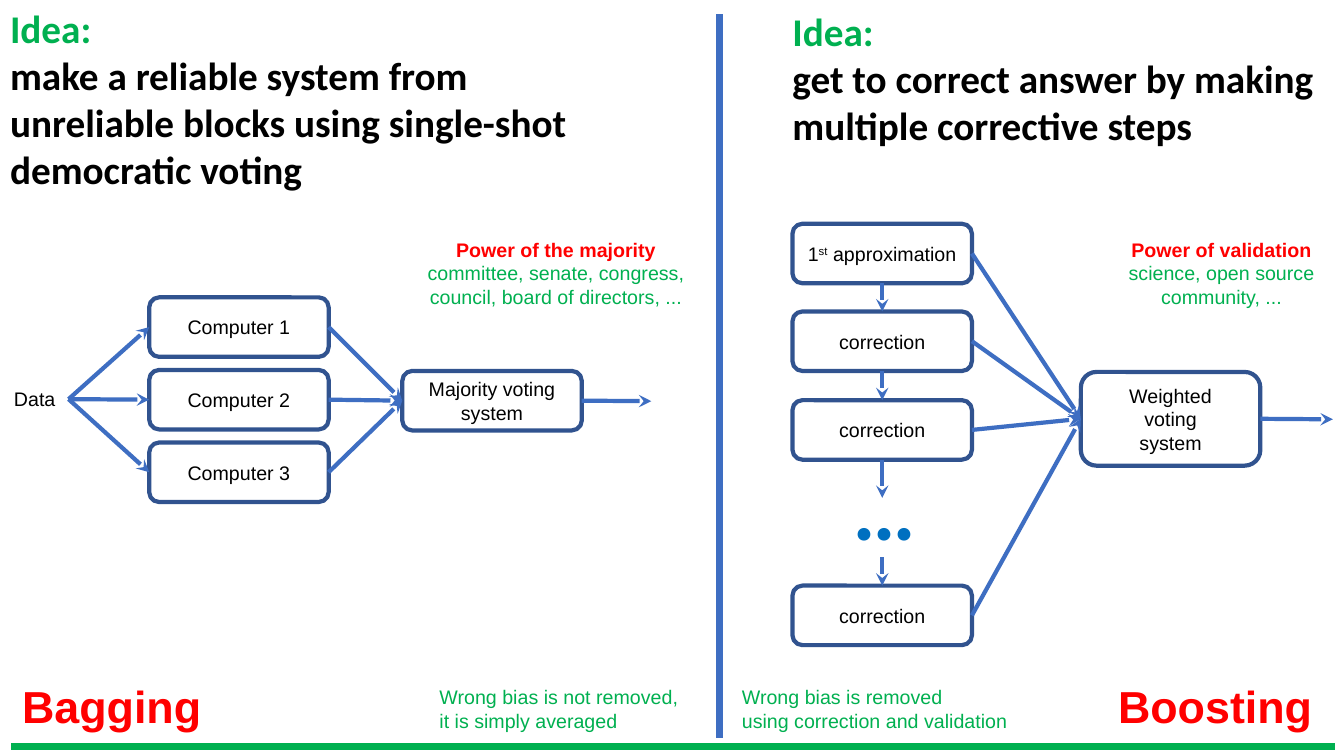
from lxml import etree
from pptx import Presentation
from pptx.dml.color import RGBColor
from pptx.enum.shapes import MSO_CONNECTOR, MSO_SHAPE
from pptx.enum.text import MSO_ANCHOR, MSO_AUTO_SIZE, PP_ALIGN
from pptx.oxml.ns import qn
from pptx.util import Inches, Pt

STRAIGHT = MSO_CONNECTOR.STRAIGHT
ROUNDED = MSO_SHAPE.ROUNDED_RECTANGLE
LEFT, CENTER = PP_ALIGN.LEFT, PP_ALIGN.CENTER
TOP, MIDDLE = MSO_ANCHOR.TOP, MSO_ANCHOR.MIDDLE
NO_AUTOFIT = MSO_AUTO_SIZE.NONE
TOP_SITE, LEFT_SITE, BOTTOM_SITE, RIGHT_SITE = range(4)
COLORS = {
    "black": "000000",
    "green": "00B050",
    "red": "FF0000",
    "dots": "0070C0",
    "outline": "31538F",
    "arrow": "3E6EC2",
}
BOX_WIDTH, BOX_HEIGHT = 1.78, 0.59


def write(shape, lines, size=14, font="Arial", color="black", bold=False, align=LEFT, anchor=TOP):
    frame = shape.text_frame
    frame.word_wrap = True
    frame.auto_size = NO_AUTOFIT
    frame.vertical_anchor = anchor
    for index, line in enumerate(lines):
        paragraph = frame.add_paragraph() if index else frame.paragraphs[0]
        paragraph.alignment = align
        paragraph.space_before = Pt(0)
        for text, changes in [(line, {})] if isinstance(line, str) else line:
            run = paragraph.add_run()
            run.text = text
            run.font.name = font
            run.font.size = Pt(size)
            run.font.bold = changes.get("bold", bold)
            run.font.color.rgb = RGBColor.from_string(COLORS[changes.get("color", color)])
            if "baseline" in changes:
                run._r.get_or_add_rPr().set("baseline", changes["baseline"])


def connect(start, end, color="arrow", width=3, arrow=True):
    points = []
    for first, second in (start, end):
        points += [Inches(first), Inches(second)] if isinstance(first, (int, float)) else [0, 0]
    line = slide.shapes.add_connector(STRAIGHT, *points)
    if not isinstance(start[0], (int, float)):
        line.begin_connect(*start)
    if not isinstance(end[0], (int, float)):
        line.end_connect(*end)
    line.line.color.rgb = RGBColor.from_string(COLORS[color])
    line.line.width = Pt(width)
    if arrow:
        etree.SubElement(line.line._get_or_add_ln(), qn("a:tailEnd"), type="stealth")
    etree.SubElement(line._element.spPr, qn("a:effectLst"))


presentation = Presentation()
presentation.slide_width = Inches(13.33)
presentation.slide_height = Inches(7.5)
slide = presentation.slides.add_slide(presentation.slide_layouts[1])

bagging_idea, boosting_idea = slide.placeholders
ideas = [
    (bagging_idea, (0, -0.01, 5.94, 1.94),
     "make a reliable system from unreliable blocks using single-shot democratic voting"),
    (boosting_idea, (7.76, 0.02, 5.57, 1.58),
     "get to correct answer by making multiple corrective steps"),
]
for placeholder, place, idea in ideas:
    placeholder.left, placeholder.top, placeholder.width, placeholder.height = map(Inches, place)
    write(placeholder, [[("Idea:", {"color": "green"})], idea], size=28, font="Calibri", bold=True)
for paragraph in boosting_idea.text_frame.paragraphs:
    properties = paragraph._p.get_or_add_pPr()
    properties.set("marL", "0")
    properties.set("indent", "0")
    etree.SubElement(properties, qn("a:buNone"))

first_step = [("1", {}), ("st", {"baseline": "30000"}), (" approximation", {})]
box_specs = [(1.48, 2.95 + 0.72 * i, BOX_HEIGHT, [f"Computer {i + 1}"]) for i in range(3)]
box_specs += [
    (3.99, 3.68, BOX_HEIGHT, ["Majority voting", "system"]),
    (7.86, 2.22, BOX_HEIGHT, [first_step]),
    (7.86, 3.09, BOX_HEIGHT, ["correction"]),
    (7.86, 3.97, BOX_HEIGHT, ["correction"]),
    (7.86, 5.81, BOX_HEIGHT, ["correction"]),
    (10.72, 3.69, 0.93, ["Weighted", "voting", "system"]),
]
boxes = []
for left, top, height, lines in box_specs:
    box = slide.shapes.add_shape(
        ROUNDED, Inches(left), Inches(top), Inches(BOX_WIDTH), Inches(height))
    box.shadow.inherit = False
    box.fill.background()
    box.line.color.rgb = RGBColor.from_string(COLORS["outline"])
    box.line.width = Pt(3)
    write(box, lines, align=CENTER, anchor=MIDDLE)
    boxes.append(box)
computers, majority, steps, weighted = boxes[:3], boxes[3], boxes[4:8], boxes[8]

majority_power = [[("Power of the majority", {"color": "red", "bold": True})],
                  "committee, senate, congress, council, board of directors, ..."]
validation_power = [[("Power of validation", {"color": "red", "bold": True})],
                    "science, open source community, ..."]
name_format = {"size": 32, "color": "red", "bold": True}
power_format = {"color": "green", "align": CENTER}
labels = [
    ((0.12, 6.68, 2.25, 0.64), ["Bagging"], name_format),
    ((10.99, 6.68, 2.25, 0.64), ["Boosting"], name_format),
    ((4.01, 2.31, 3.01, 0.81), majority_power, power_format),
    ((10.94, 2.31, 2.35, 0.81), validation_power, power_format),
    ((4.26, 6.75, 2.75, 0.57),
     ["Wrong bias is not removed,", "it is simply averaged"], {"color": "green"}),
    ((7.26, 6.75, 3.03, 0.57),
     ["Wrong bias is removed", "using correction and validation"], {"color": "green"}),
    ((8.3, 4.48, 0.95, 1.11), ["..."],
     {"size": 60, "font": "Lato", "color": "dots", "bold": True, "align": CENTER}),
    ((0.04, 3.79, 0.64, 0.34), ["Data"], {}),
]
for place, lines, text_format in labels:
    label = slide.shapes.add_textbox(*map(Inches, place))
    write(label, lines, **text_format)
data = label

for computer in computers:
    connect((data, RIGHT_SITE), (computer, LEFT_SITE))
    connect((computer, RIGHT_SITE), (majority, LEFT_SITE))
connect((majority, RIGHT_SITE), (6.46, 3.98))

for step in steps:
    connect((step, RIGHT_SITE), (weighted, LEFT_SITE))
for upper, lower in zip(steps[:2], steps[1:3]):
    connect((upper, BOTTOM_SITE), (lower, TOP_SITE))
connect((steps[2], BOTTOM_SITE), (8.75, 4.94))
connect((8.75, 5.53), (steps[3], TOP_SITE))
connect((weighted, RIGHT_SITE), (13.22, 4.16))

connect((7.14, 0.14), (7.14, 7.32), width=5, arrow=False)
connect((0.11, 7.41), (13.24, 7.41), color="green", width=5, arrow=False)

presentation.save("out.pptx")
